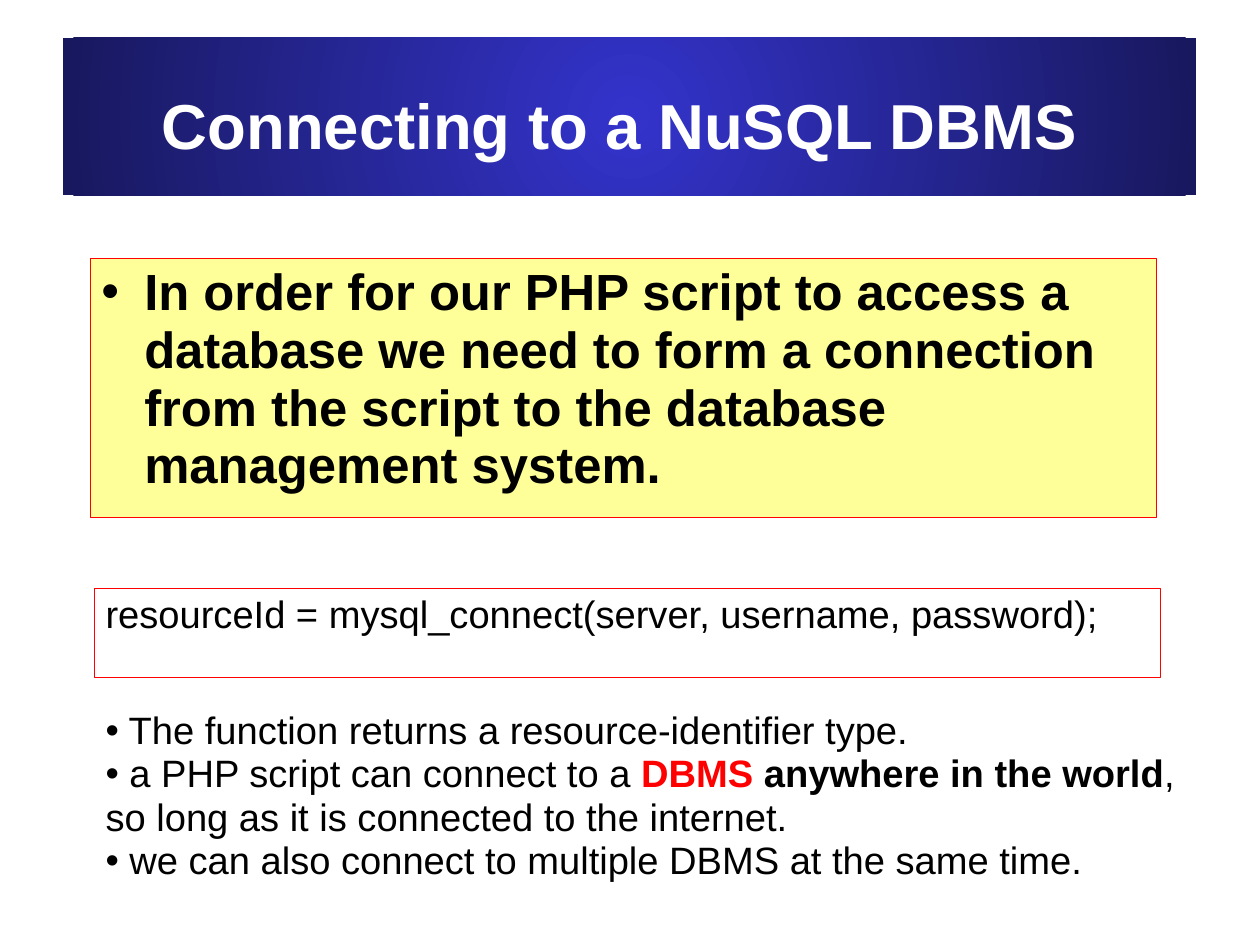
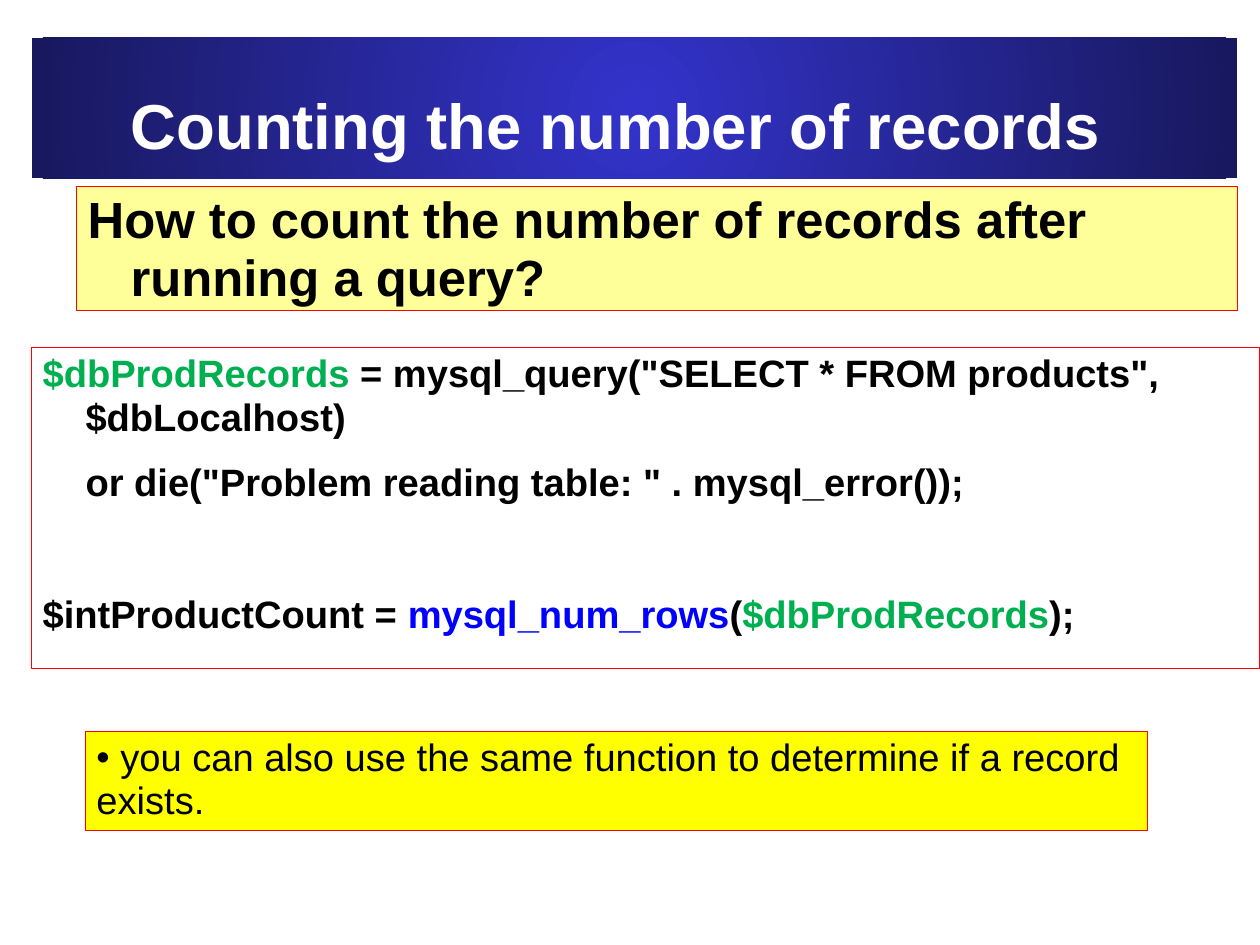
"""Build two slides on connecting to a database and counting its records."""
from lxml import etree
from pptx import Presentation
from pptx.dml.color import RGBColor
from pptx.enum.shapes import MSO_SHAPE
from pptx.enum.text import MSO_ANCHOR, MSO_AUTO_SIZE, PP_ALIGN
from pptx.oxml import parse_xml
from pptx.oxml.ns import nsdecls, qn
from pptx.util import Pt

RECTANGLE = MSO_SHAPE.RECTANGLE
TOP = MSO_ANCHOR.TOP
LEFT = PP_ALIGN.LEFT
NO_FIT = MSO_AUTO_SIZE.NONE

COLORS = {
    "white": "FFFFFF", "black": "000000", "red": "FF0000", "green": "00B050",
    "blue": "0000FF", "cream": "FFFF99", "yellow": "FFFF00",
    "band_center": "3333CC", "band_edge": "18185E",
}
FONT = "Arial"
SLIDE_WIDTH, SLIDE_HEIGHT = 793.75, 595.25
TITLE_SIZE, LEAD_SIZE, BODY_SIZE = 40, 32, 24
LINE_SPACING = 0.95
BORDER = 0.74
BAND_TOP = 23.75
STEP = 27

PLAIN = {"margin": 0, "offset": 0, "bulleted": False}
HANGING = {"margin": STEP, "offset": -STEP, "bulleted": False}
INDENTED = {"margin": STEP, "offset": 0, "bulleted": False}
BULLET = {"margin": STEP, "offset": -STEP, "bulleted": True}
INLINE_BULLET = {"margin": 0, "offset": -12, "bulleted": True}

SLIDES = [
    {
        "title": "Connecting to a NuSQL DBMS",
        "band": (39.6, 714, 99.2),
        "boxes": [
            {"at": (56.8, 162.7, 671.7, 163.4), "fill": "cream", "size": LEAD_SIZE, "text": [
                (BULLET, 0, [("In order for our PHP script to access a database we need to form "
                              "a connection from the script to the database management system.",
                              "black", True)]),
            ]},
            {"at": (59.4, 370.6, 671.7, 56.1), "fill": "white", "size": BODY_SIZE, "text": [
                (HANGING, 0, [("resourceId = mysql_connect(server, username, password);",
                               "black", False)]),
            ]},
            {"at": (59.4, 443.5, 714.2, 145.4), "fill": None, "size": BODY_SIZE, "text": [
                (INLINE_BULLET, 0, [(" The function returns a resource-identifier type.",
                                     "black", False)]),
                (INLINE_BULLET, 0, [(" a PHP script can connect to a ", "black", False),
                                    ("DBMS", "red", True),
                                    (" anywhere in the world", "black", True),
                                    (",", "black", False)]),
                (PLAIN, 0, [("so long as it is connected to the internet.", "black", False)]),
                (INLINE_BULLET, 0, [(" we can also connect to multiple DBMS at the same time.",
                                     "black", False)]),
            ]},
        ],
    },
    {
        "title": "Counting the number of records",
        "band": (20, 759.4, 88.4),
        "boxes": [
            {"at": (48.2, 117.3, 731.5, 78.5), "fill": "cream", "size": LEAD_SIZE, "text": [
                (HANGING, 0, [("How to count the number of records after running a query?",
                               "black", True)]),
            ]},
            {"at": (19.8, 218.8, 773.8, 202.2), "fill": "white", "size": BODY_SIZE, "text": [
                (HANGING, 0, [("$dbProdRecords", "green", True),
                              (' = mysql_query("SELECT * FROM products", $dbLocalhost)',
                               "black", True)]),
                (INDENTED, 14, [('or die("Problem reading table: " . mysql_error());',
                                 "black", True)]),
                (HANGING, 55.3, [("$intProductCount = ", "black", True),
                                 ("mysql_num_rows", "blue", True),
                                 ("(", "black", True),
                                 ("$dbProdRecords", "green", True),
                                 (");", "black", True)]),
            ]},
            {"at": (53.7, 460.6, 669.4, 62.6), "fill": "yellow", "size": BODY_SIZE, "text": [
                (INLINE_BULLET, 0, [(" you can also use the same function to determine if a "
                                     "record exists.", "black", False)]),
            ]},
        ],
    },
]


def rgb(name):
    return RGBColor.from_string(COLORS[name])


def add_span(para, text, color, bold, size):
    span = para.add_run()
    span.text = text
    span.font.name = FONT
    span.font.size = Pt(size)
    span.font.bold = bold
    span.font.color.rgb = rgb(color)


def format_para(para, space_before, margin, offset, bulleted):
    para.alignment = LEFT
    para.line_spacing = LINE_SPACING
    para.space_before = Pt(space_before)
    properties = para._p.get_or_add_pPr()
    properties.set("marL", str(Pt(margin)))
    properties.set("indent", str(Pt(offset)))
    if bulleted:
        color = etree.SubElement(properties, qn("a:buClr"))
        etree.SubElement(color, qn("a:srgbClr"), val=COLORS["black"])
        etree.SubElement(properties, qn("a:buFont"), typeface=FONT)
        etree.SubElement(properties, qn("a:buChar"), char="•")


def prepare_frame(frame):
    frame.word_wrap = True
    frame.auto_size = NO_FIT
    frame.vertical_anchor = TOP


def add_title(page, text, band):
    left, width, height = band
    title = page.shapes.title
    title.left, title.top = Pt(left), Pt(BAND_TOP)
    title.width, title.height = Pt(width), Pt(height)
    stops = "".join(
        f'<a:gs pos="{position}"><a:srgbClr val="{COLORS[name]}"/></a:gs>'
        for position, name in ((0, "band_center"), (100000, "band_edge")))
    title._element.spPr.append(parse_xml(
        f'<a:gradFill {nsdecls("a")} rotWithShape="1"><a:gsLst>{stops}</a:gsLst>'
        '<a:path path="circle"><a:fillToRect l="50000" t="50000" r="50000" b="50000"/>'
        '</a:path></a:gradFill>'))
    frame = title.text_frame
    prepare_frame(frame)
    frame.margin_left, frame.margin_top = Pt(62.4), Pt(33.8)
    frame.margin_right = frame.margin_bottom = Pt(0)
    para = frame.paragraphs[0]
    format_para(para, 0, **PLAIN)
    add_span(para, text, "white", True, TITLE_SIZE)


def add_box(page, at, fill, size, text):
    place = [Pt(length) for length in at]
    if fill:
        box = page.shapes.add_shape(RECTANGLE, *place)
        box.shadow.inherit = False
        box.fill.solid()
        box.fill.fore_color.rgb = rgb(fill)
        box.line.color.rgb = rgb("red")
        box.line.width = Pt(BORDER)
    else:
        box = page.shapes.add_textbox(*place)
    frame = box.text_frame
    prepare_frame(frame)
    for index, (indent, space_before, spans) in enumerate(text):
        para = frame.add_paragraph() if index else frame.paragraphs[0]
        format_para(para, space_before, **indent)
        for words, color, bold in spans:
            add_span(para, words, color, bold, size)


def main():
    deck = Presentation()
    deck.slide_width, deck.slide_height = Pt(SLIDE_WIDTH), Pt(SLIDE_HEIGHT)
    title_only = deck.slide_layouts[5]
    for content in SLIDES:
        page = deck.slides.add_slide(title_only)
        add_title(page, content["title"], content["band"])
        for box in content["boxes"]:
            add_box(page, **box)
    deck.save("out.pptx")


if __name__ == "__main__":
    main()
